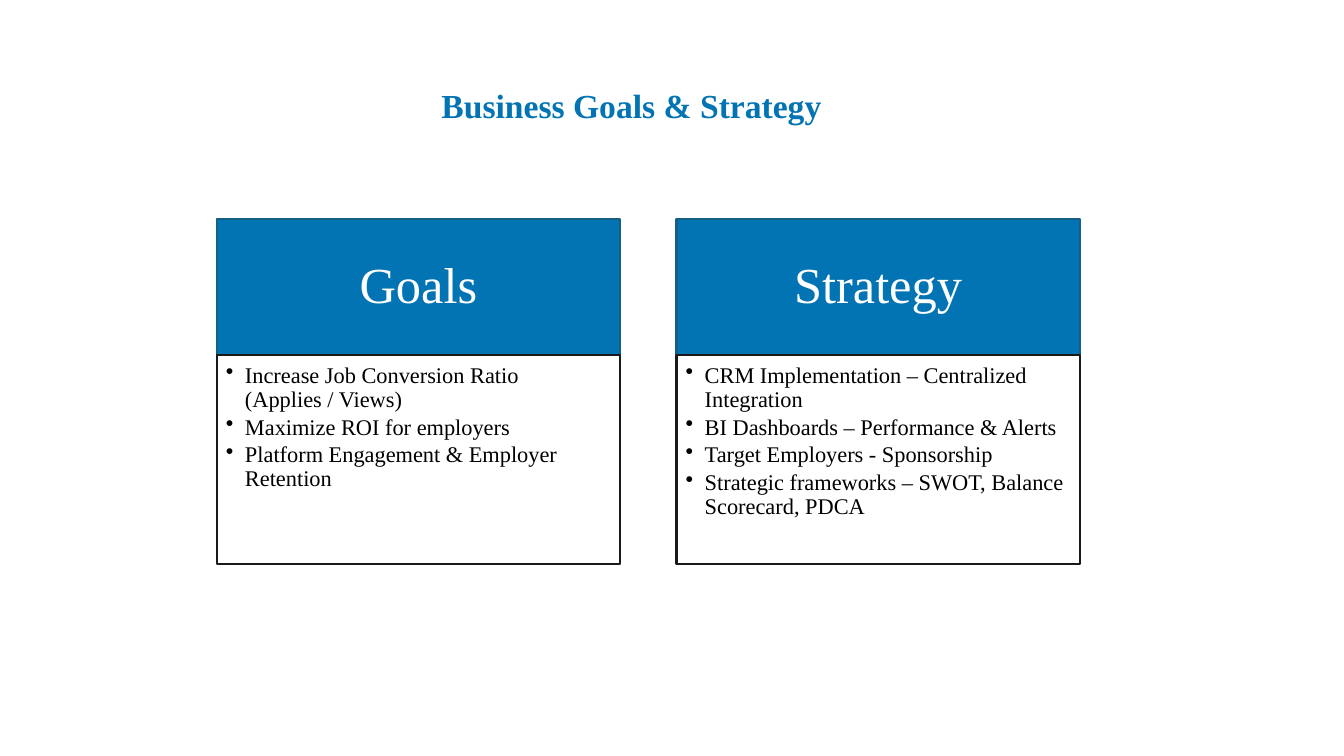
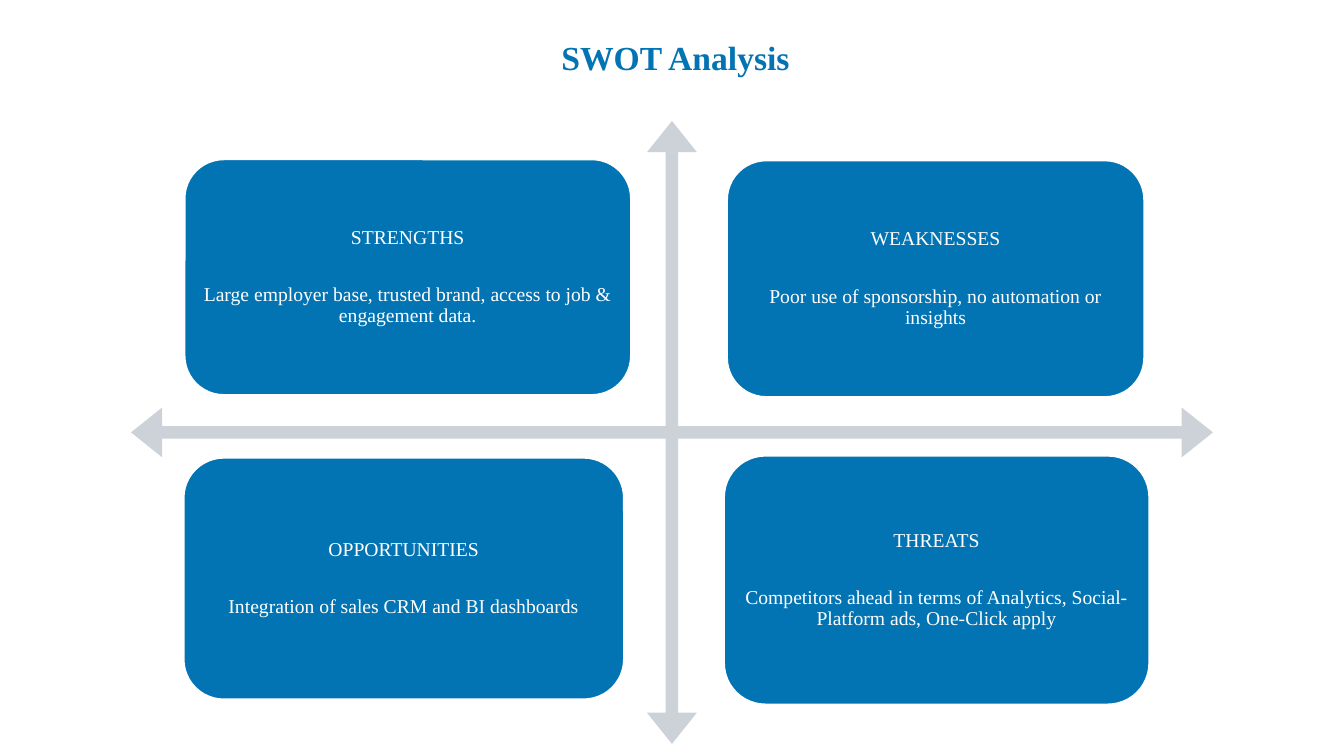
from lxml.etree import SubElement
from pptx import Presentation
from pptx.dml.color import RGBColor
from pptx.enum.shapes import MSO_SHAPE as Shape
from pptx.enum.text import MSO_ANCHOR as Anchor, MSO_AUTO_SIZE as AutoSize, PP_ALIGN as Align
from pptx.oxml.ns import qn
from pptx.util import Inches, Pt

FONT = "Times New Roman"
BLUE = RGBColor(0x03, 0x74, 0xB3)
DARK_TEAL = RGBColor(0x15, 0x60, 0x82)
GREY = RGBColor(0xCC, 0xD2, 0xD8)
INK = RGBColor(0x1A, 0x1A, 0x1A)
BLACK = RGBColor(0, 0, 0)
WHITE = RGBColor(0xFF, 0xFF, 0xFF)

HEADER_HEIGHT = 1.35
BULLET_INDENT = 0.19

COLUMNS = [
    ("Goals", [
        "Increase Job Conversion Ratio\v(Applies / Views)",
        "Maximize ROI for employers",
        "Platform Engagement & Employer Retention",
    ]),
    ("Strategy", [
        "CRM Implementation – Centralized Integration",
        "BI Dashboards – Performance & Alerts",
        "Target Employers - Sponsorship",
        "Strategic frameworks – SWOT, Balance Scorecard, PDCA",
    ]),
]

QUADRANTS = [
    ((1.83, 1.58, 4.43, 2.34), "STRENGTHS",
     "Large employer base, trusted brand, access to job & engagement data."),
    ((7.21, 1.59, 4.14, 2.35), "WEAKNESSES",
     "Poor use of sponsorship, no automation or insights"),
    ((1.82, 4.54, 4.37, 2.4), "OPPORTUNITIES",
     "Integration of sales CRM and BI dashboards"),
    ((7.18, 4.52, 4.22, 2.47), "THREATS",
     "Competitors ahead in terms of Analytics, Social-Platform ads, One-Click apply"),
]


def add_block(slide, kind, box, fill, line=None):
    shape = slide.shapes.add_shape(kind, *map(Inches, box))
    shape.shadow.inherit = False
    shape.fill.solid()
    shape.fill.fore_color.rgb = fill
    if line is None:
        shape.line.fill.background()
    else:
        shape.line.color.rgb = line
        shape.line.width = Pt(1.5)
    return shape


def write(shape, texts, size, color, margins, align=Align.CENTER,
          anchor=Anchor.MIDDLE, gap=0, bullets=False):
    """Fill a shape with one paragraph per text, gap points apart."""
    frame = shape.text_frame
    frame.word_wrap = True
    frame.vertical_anchor = anchor
    (frame.margin_left, frame.margin_top,
     frame.margin_right, frame.margin_bottom) = map(Inches, margins)
    frame.text = "\n".join(texts)
    for index, paragraph in enumerate(frame.paragraphs):
        paragraph.alignment = align
        paragraph.line_spacing = 0.9
        if index:
            paragraph.space_before = Pt(gap)
        if bullets:
            add_bullet(paragraph)
        format_runs(paragraph, size, color)


def format_runs(paragraph, size, color, bold=False):
    for run in paragraph.runs:
        run.font.name = FONT
        run.font.size = Pt(size)
        run.font.color.rgb = color
        run.font.bold = bold


def add_bullet(paragraph):
    properties = paragraph._p.get_or_add_pPr()
    indent = Inches(BULLET_INDENT)
    properties.set("marL", str(indent))
    properties.set("indent", str(-indent))
    SubElement(properties, qn("a:buChar")).set("char", "•")


def add_title(slide, text, left, top, width):
    title = slide.shapes.add_textbox(*map(Inches, (left, top, width, 0.5)))
    frame = title.text_frame
    frame.word_wrap = False
    frame.auto_size = AutoSize.SHAPE_TO_FIT_TEXT
    frame.text = text
    format_runs(frame.paragraphs[0], 24, BLUE, bold=True)


def add_column(slide, box, heading, items):
    """Blue heading above an outlined bullet list."""
    left, top, width, height = box
    header = add_block(slide, Shape.RECTANGLE, (left, top, width, HEADER_HEIGHT),
                       BLUE, DARK_TEAL)
    write(header, [heading], 36, WHITE, (0.28, 0.16, 0.28, 0.16))
    body = add_block(slide, Shape.RECTANGLE,
                     (left, top + HEADER_HEIGHT, width, height - HEADER_HEIGHT),
                     WHITE, INK)
    write(body, items, 16, BLACK, (0.09, 0.09, 0.12, 0.14), Align.LEFT,
          Anchor.TOP, gap=2.5, bullets=True)


def add_quadrant(slide, box, heading, detail):
    card = add_block(slide, Shape.ROUNDED_RECTANGLE, box, BLUE, WHITE)
    write(card, [heading, detail], 14, WHITE, (0.06,) * 4, gap=26)


def build_goals_slide(slide):
    add_title(slide, "Business Goals & Strategy", 4.28, 0.79, 4.01)
    for index, (heading, items) in enumerate(COLUMNS):
        add_column(slide, (2.15 + 4.56 * index, 2.17, 4, 3.43), heading, items)


def build_swot_slide(slide):
    axes = add_block(slide, Shape.QUAD_ARROW, (1.3, 1.2, 10.73, 6.18), GREY)
    for index, value in enumerate((0.02, 0.04, 0.05)):
        axes.adjustments[index] = value
    for quadrant in QUADRANTS:
        add_quadrant(slide, *quadrant)
    add_title(slide, "SWOT Analysis", 5.47, 0.32, 2.49)


def main():
    presentation = Presentation()
    presentation.slide_width = Inches(13.33)
    presentation.slide_height = Inches(7.5)
    blank = presentation.slide_layouts[6]
    for build in (build_goals_slide, build_swot_slide):
        build(presentation.slides.add_slide(blank))
    presentation.save("out.pptx")


if __name__ == "__main__":
    main()
